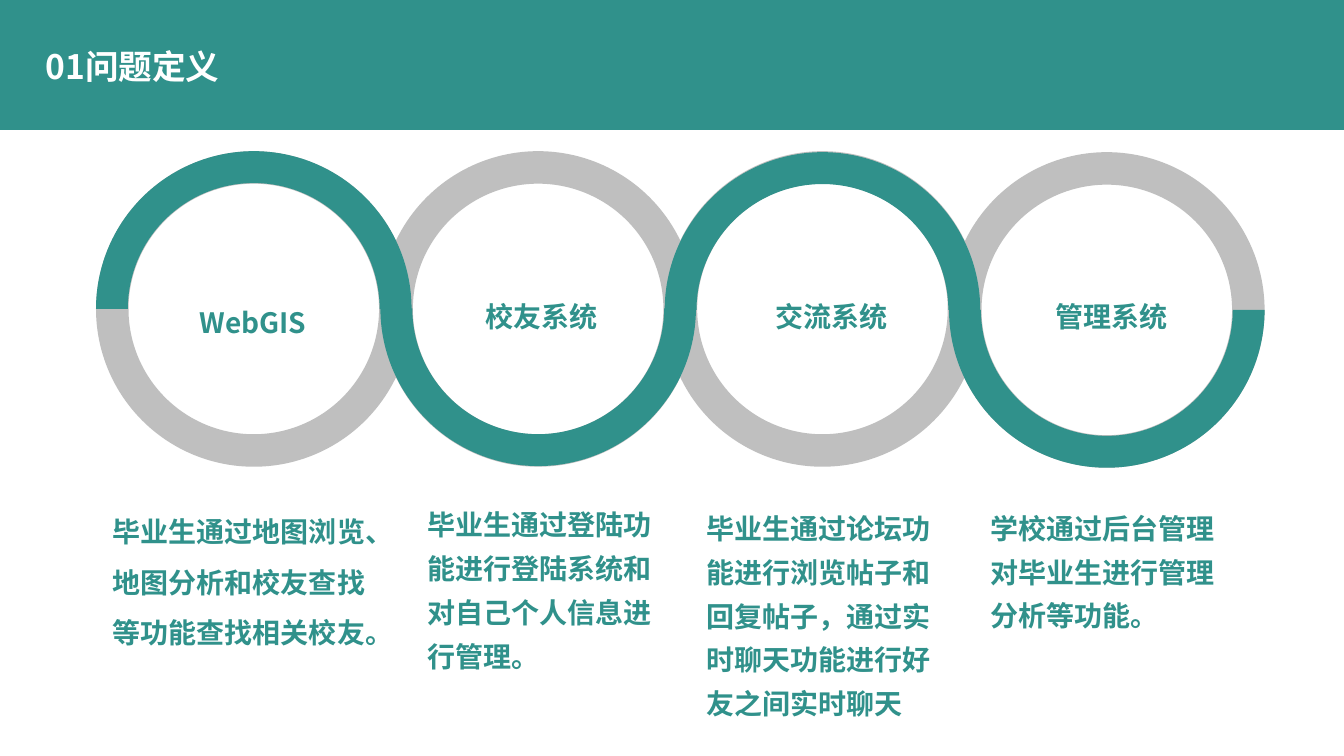
from dataclasses import dataclass

from lxml import etree
from pptx import Presentation
from pptx import util as u
from pptx.dml.color import RGBColor
from pptx.enum import shapes, text
from pptx.oxml.ns import qn


@dataclass(frozen=True)
class Theme:
    teal: RGBColor = RGBColor(0x30, 0x91, 0x8B)
    gray: RGBColor = RGBColor(0xBF, 0xBF, 0xBF)
    white: RGBColor = RGBColor(0xFF, 0xFF, 0xFF)
    font: str = "Noto Sans CJK SC"
    head: int = 24
    body: int = 20


look = Theme()


def write(frame, words, size=look.body, color=look.teal, space=1.3, wrap=True,
          fit=text.MSO_AUTO_SIZE.SHAPE_TO_FIT_TEXT, anchor=text.MSO_ANCHOR.TOP):
    frame.word_wrap = wrap
    frame.auto_size = fit
    frame.vertical_anchor = anchor
    para = frame.paragraphs[0]
    para.alignment = text.PP_ALIGN.LEFT
    para.line_spacing = space
    para.space_before = u.Pt(0)
    run = para.add_run()
    run.text = words
    run.font.size = u.Pt(size)
    run.font.bold = True
    run.font.color.rgb = color
    run.font.name = look.font
    etree.SubElement(run.font._element, qn("a:ea"), typeface=look.font)


def draw(kind, left, top, width, height, color):
    item = slide.shapes.add_shape(kind, u.Pt(left), u.Pt(top), u.Pt(width), u.Pt(height))
    item.shadow.inherit = False
    item.fill.solid()
    item.fill.fore_color.rgb = color
    item.line.fill.background()
    return item


deck = Presentation()
deck.slide_width = u.Pt(960)
deck.slide_height = u.Pt(540)
slide = deck.slides.add_slide(deck.slide_layouts[5])
slide.background.fill.solid()
slide.background.fill.fore_color.rgb = look.teal

title = slide.shapes.title
title.left, title.top, title.width, title.height = map(u.Pt, (25.2, 20.2, 417.6, 56.9))
write(title.text_frame, "01问题定义", size=look.head, color=look.white, space=0.9,
      fit=text.MSO_AUTO_SIZE.NONE, anchor=text.MSO_ANCHOR.MIDDLE)

draw(shapes.MSO_SHAPE.RECTANGLE, 0, 92.9, 960, 447.1, look.white)

start, step, size = 68.6, 203.1, 225.4
for i, top in enumerate((108, 108, 108, 108.7)):
    ring = draw(shapes.MSO_SHAPE.DONUT, start + i * step, top, size, size, look.gray)
    ring.adjustments[0] = 0.103

for i, top in enumerate((108, 107.5, 108.7, 108.7)):
    arc = draw(shapes.MSO_SHAPE.BLOCK_ARC, start + i * step, top, size, size, look.teal)
    for k, value in enumerate((108, 0, 0.101)):
        arc.adjustments[k] = value
    arc.rotation = 180 * (i % 2)

labels = [
    ("WebGIS", 135.4, 207.4),
    ("校友系统", 339.8, 203),
    ("交流系统", 546.5, 203),
    ("管理系统", 746.6, 203),
]
for words, left, top in labels:
    box = slide.shapes.add_textbox(u.Pt(left), u.Pt(top), u.Pt(95), u.Pt(36))
    write(box.text_frame, words, wrap=False)

notes = [
    ("毕业生通过地图浏览、地图分析和校友查找等功能查找相关校友。", 73.4, 352.1, 198, 112.3, 1.5),
    ("毕业生通过登陆功能进行登陆系统和对自己个人信息进行管理。", 298.1, 352.1, 182.2, 130.3, 1.3),
    ("毕业生通过论坛功能进行浏览帖子和回复帖子，通过实时聊天功能进行好友之间实时聊天",
     497.5, 354.7, 190.8, 162, 1.3),
    ("学校通过后台管理对毕业生进行管理分析等功能。", 700.4, 354.7, 190.8, 98.6, 1.3),
]
for words, left, top, width, height, space in notes:
    box = slide.shapes.add_textbox(u.Pt(left), u.Pt(top), u.Pt(width), u.Pt(height))
    write(box.text_frame, words, space=space)

deck.save("out.pptx")
